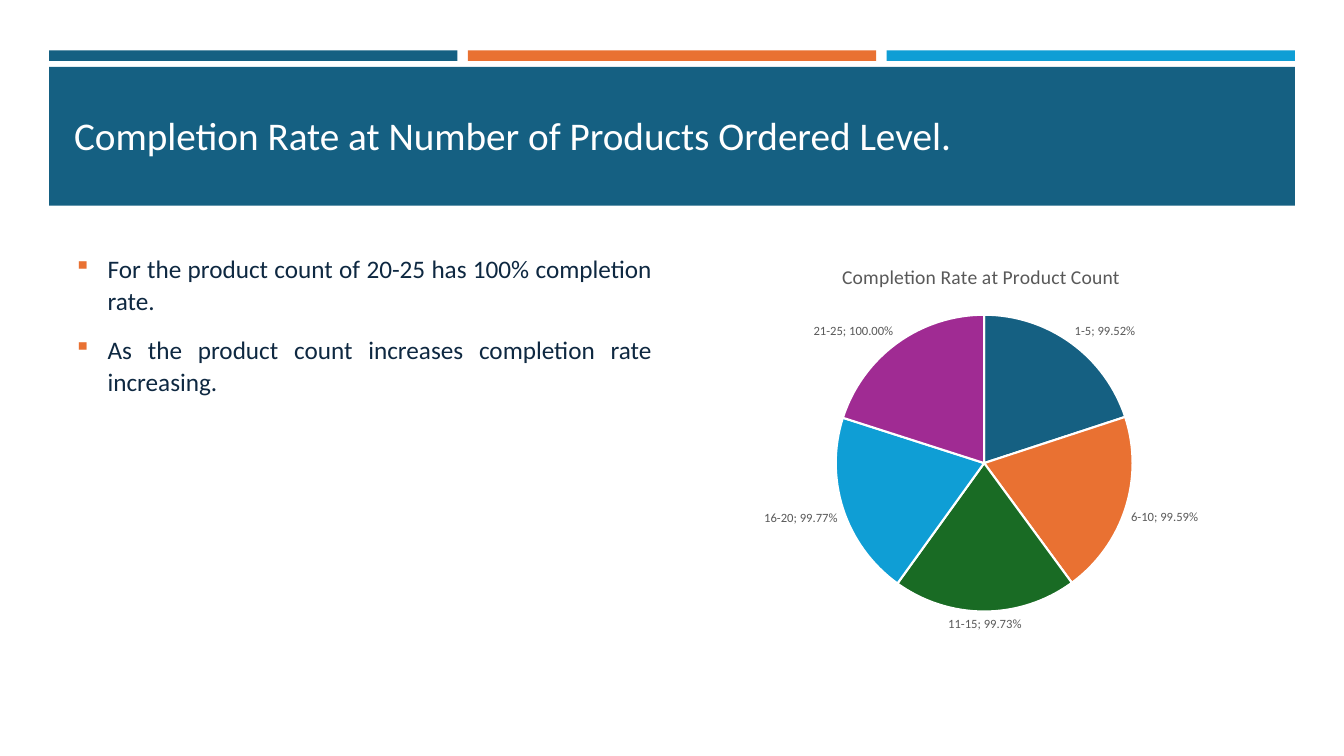
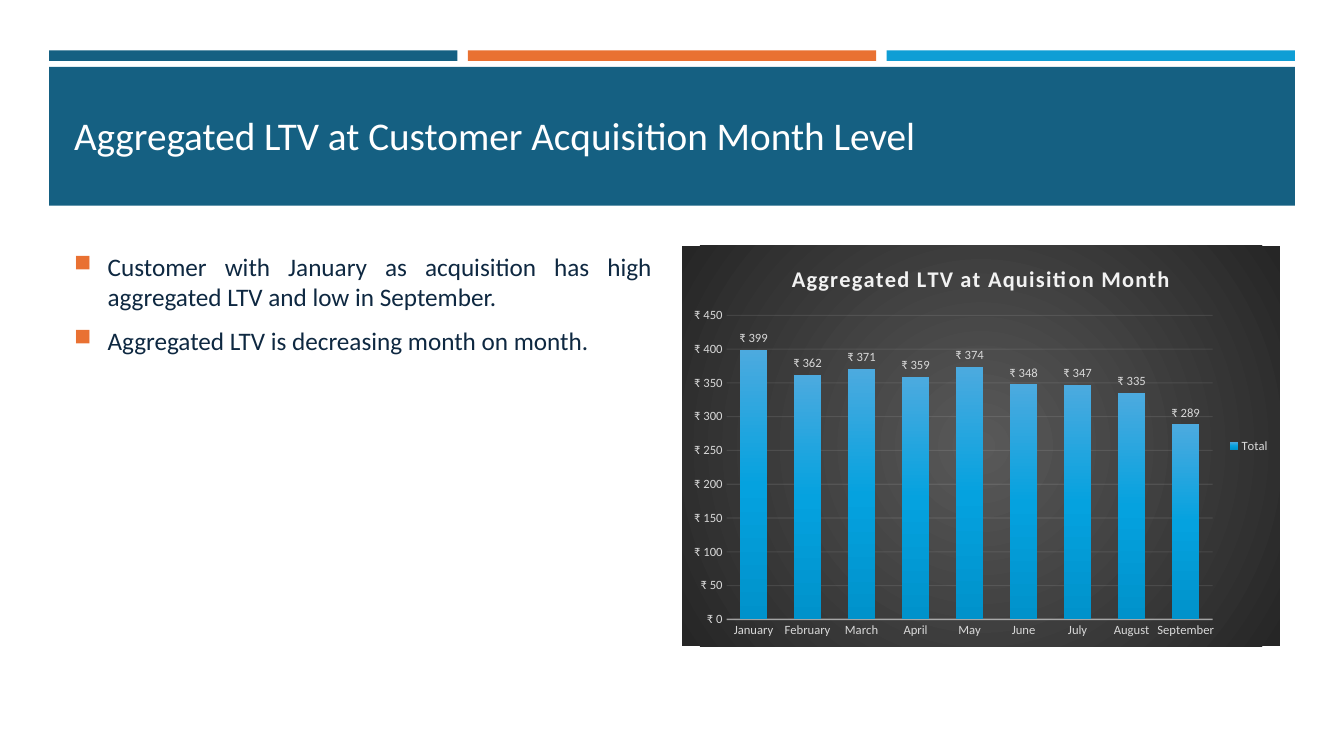
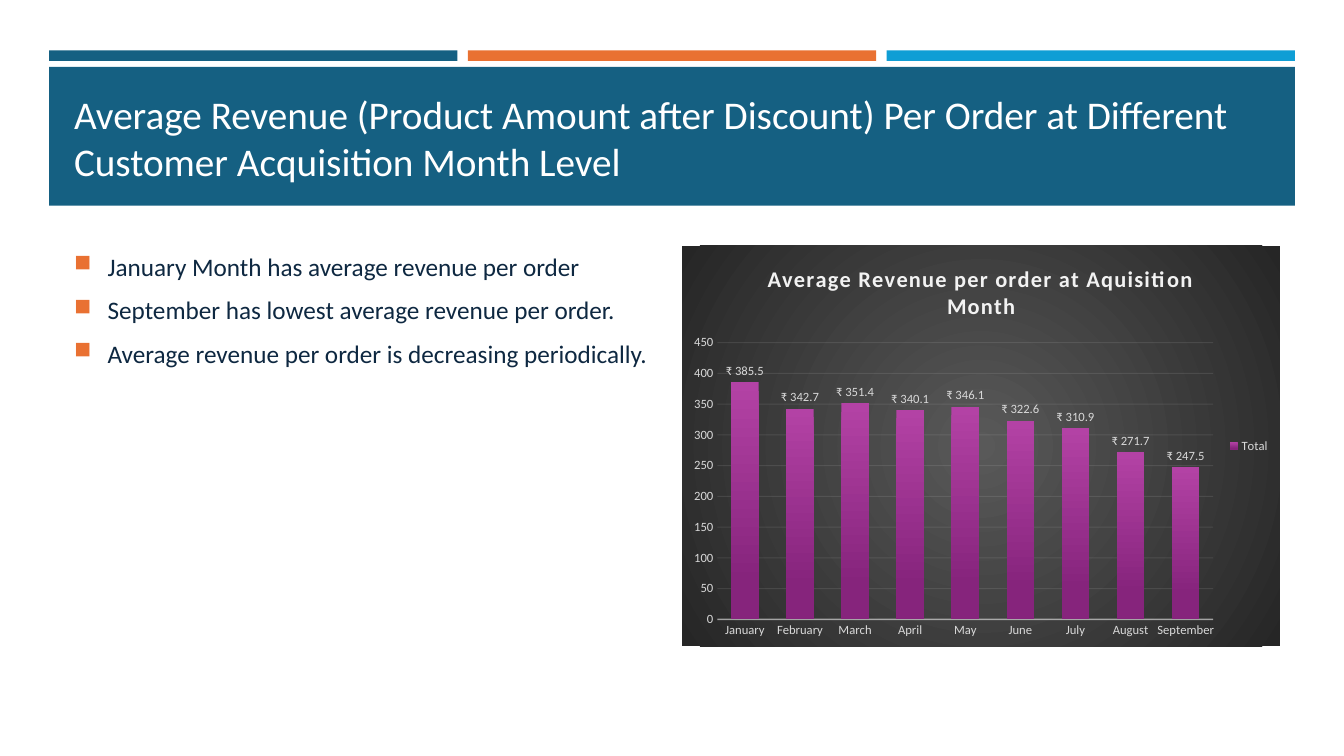
"""Build three slides on completion rate, lifetime value and revenue per order."""
from dataclasses import dataclass, field
from functools import partial

import pptx
import pptx.chart.chart
import pptx.chart.data
import pptx.dml.color
import pptx.enum.chart
import pptx.enum.shapes
import pptx.enum.text
import pptx.oxml
import pptx.oxml.ns
import pptx.slide
import pptx.text.text
import pptx.util

Pt = pptx.util.Pt
qn = pptx.oxml.ns.qn
rgb = pptx.dml.color.RGBColor.from_string
ChartType = pptx.enum.chart.XL_CHART_TYPE


@dataclass(frozen=True)
class Theme:
    font: str = "Calibri"
    teal: str = "156082"
    orange: str = "E97132"
    green: str = "196B24"
    blue: str = "0F9ED5"
    purple: str = "A02B93"
    navy: str = "0E2841"
    white: str = "FFFFFF"
    black: str = "000000"
    grey: str = "595959"
    pale: str = "F2F2F2"
    silver: str = "D9D9D9"
    charcoal: str = "262626"
    title_size: float = 28
    body_size: float = 18
    pie_title_size: float = 14
    column_title_size: float = 16
    chart_size: float = 10
    label_size: float = 9


@dataclass(frozen=True)
class Box:
    left: float
    top: float
    width: float
    height: float

    def lengths(self) -> list[pptx.util.Length]:
        return [Pt(n) for n in (self.left, self.top, self.width, self.height)]


@dataclass(frozen=True)
class BulletStyle:
    mark: str
    line_spacing: float
    space_after: float


@dataclass(frozen=True)
class ChartData:
    title: str
    categories: list[str]
    values: list[float]
    label_format: str
    series: str = "Total"
    axis_format: str = "0"
    gradient: list[tuple[int, str]] = field(default_factory=list)


@dataclass(frozen=True)
class Topic:
    title: str
    points: list[str]
    bullets: BulletStyle
    chart: ChartData
    title_anchor: pptx.enum.text.MSO_ANCHOR = pptx.enum.text.MSO_ANCHOR.MIDDLE


THEME = Theme()
BAND = Box(35, 47.8, 890, 99.2)
STRIPE_TOP, STRIPE_HEIGHT, STRIPE_GAP = 36, 7.5, 7.5
TITLE = Box(45.8, 57.6, 868.4, 77.8)
BODY = Box(45.8, 175.7, 427, 285.8)
CHART = Box(487.3, 175.7, 427, 285.8)
BULLET_INDENT = 24
SPACE_BEFORE = 3.6

MONTHS = ["January", "February", "March", "April", "May", "June", "July", "August", "September"]
RUPEES = '"₹"\\ #,##0'
SMALL_SQUARES = BulletStyle("▪", 1.07, 8)
LARGE_SQUARES = BulletStyle("■", 1.0, 6)

TOPICS = [
    Topic(
        "Completion Rate at Number of Products Ordered Level.",
        [
            "For the product count of 20-25 has 100% completion rate.",
            "As the product count increases completion rate increasing.",
        ],
        SMALL_SQUARES,
        ChartData(
            "Completion Rate at Product Count",
            ["1-5", "6-10", "11-15", "16-20", "21-25"],
            [0.9952, 0.9959, 0.9973, 0.9977, 1],
            "0.00%",
            series="Series 1",
        ),
    ),
    Topic(
        "Aggregated LTV at Customer Acquisition Month Level",
        [
            "Customer with January as acquisition has high aggregated LTV and low in September.",
            "Aggregated LTV is decreasing month on month.",
        ],
        LARGE_SQUARES,
        ChartData(
            "Aggregated LTV at Aquisition Month",
            MONTHS,
            [399, 362, 371, 359, 374, 348, 347, 335, 289],
            RUPEES,
            axis_format=RUPEES,
            gradient=[(0, "4CAADF"), (50, "05A2DF"), (100, "0092CB")],
        ),
    ),
    Topic(
        "Average Revenue (Product Amount after Discount) Per Order at Different "
        "Customer Acquisition Month Level",
        [
            "January Month has average revenue per order",
            "September has lowest average revenue per order.",
            "Average revenue per order is decreasing periodically.",
        ],
        LARGE_SQUARES,
        ChartData(
            "Average Revenue per order at Aquisition Month",
            MONTHS,
            [385.5, 342.7, 351.4, 340.1, 346.1, 322.6, 310.9, 271.7, 247.5],
            RUPEES + ".0",
            gradient=[(0, "B342A5"), (84, "86247C")],
        ),
        title_anchor=pptx.enum.text.MSO_ANCHOR.BOTTOM,
    ),
]


def style_font(font: pptx.text.text.Font, size: float, color: str, bold: bool = False) -> None:
    font.name = THEME.font
    font.size = Pt(size)
    font.bold = bold
    font.color.rgb = rgb(color)


def element(tag: str, content: str = "", **attributes: str) -> pptx.oxml.xmlchemy.BaseOxmlElement:
    listed = "".join(f' {key}="{value}"' for key, value in attributes.items())
    spaces = pptx.oxml.ns.nsdecls("a", "c")
    return pptx.oxml.parse_xml(f"<{tag} {spaces}{listed}>{content}</{tag}>")


def gradient_fill(
    stops: list[tuple[int, str]], direction: str
) -> pptx.oxml.xmlchemy.BaseOxmlElement:
    listed = "".join(
        f'<a:gs pos="{place * 1000}"><a:srgbClr val="{color}"/></a:gs>' for place, color in stops
    )
    return element("a:gradFill", f"<a:gsLst>{listed}</a:gsLst>{direction}", rotWithShape="1")


def find(chart: pptx.chart.chart.Chart, *tags: str) -> pptx.oxml.xmlchemy.BaseOxmlElement:
    return chart.element.find(".//" + "//".join(qn(tag) for tag in tags))


def add_block(slide: pptx.slide.Slide, box: Box, color: str) -> None:
    block = slide.shapes.add_shape(pptx.enum.shapes.MSO_SHAPE.RECTANGLE, *box.lengths())
    block.shadow.inherit = False
    block.fill.solid()
    block.fill.fore_color.rgb = rgb(color)
    block.line.fill.background()


def add_text_frame(slide: pptx.slide.Slide, box: Box) -> pptx.text.text.TextFrame:
    frame = slide.shapes.add_textbox(*box.lengths()).text_frame
    frame.word_wrap = True
    return frame


def add_run(
    paragraph: pptx.text.text._Paragraph, text: str, size: float, color: str, bold: bool = False
) -> None:
    run = paragraph.add_run()
    run.text = text
    style_font(run.font, size, color, bold)


def add_header(slide: pptx.slide.Slide, topic: Topic) -> None:
    colors = [THEME.teal, THEME.orange, THEME.blue]
    width = (BAND.width - STRIPE_GAP * (len(colors) - 1)) / len(colors)
    for index, color in enumerate(colors):
        left = BAND.left + index * (width + STRIPE_GAP)
        add_block(slide, Box(left, STRIPE_TOP, width, STRIPE_HEIGHT), color)
    add_block(slide, BAND, THEME.teal)
    frame = add_text_frame(slide, TITLE)
    frame.vertical_anchor = topic.title_anchor
    add_run(frame.paragraphs[0], topic.title, THEME.title_size, THEME.white)


def add_points(slide: pptx.slide.Slide, points: list[str], style: BulletStyle) -> None:
    frame = add_text_frame(slide, BODY)
    for index, point in enumerate(points):
        paragraph = frame.add_paragraph() if index else frame.paragraphs[0]
        paragraph.alignment = pptx.enum.text.PP_ALIGN.JUSTIFY
        paragraph.line_spacing = style.line_spacing
        paragraph.space_before = Pt(SPACE_BEFORE if index else 0)
        paragraph.space_after = Pt(style.space_after)
        properties = paragraph._p.get_or_add_pPr()
        properties.set("marL", str(Pt(BULLET_INDENT)))
        properties.set("indent", str(-Pt(BULLET_INDENT)))
        properties.append(element("a:buClr", f'<a:srgbClr val="{THEME.orange}"/>'))
        properties.append(element("a:buSzPct", val="92000"))
        properties.append(element("a:buChar", char=style.mark))
        add_run(paragraph, point, THEME.body_size, THEME.navy)


def add_chart(
    slide: pptx.slide.Slide,
    data: ChartData,
    kind: ChartType,
    title_size: float,
    title_color: str,
    label_color: str,
    bold: bool = False,
) -> pptx.chart.chart.Chart:
    table = pptx.chart.data.CategoryChartData()
    table.categories = data.categories
    table.add_series(data.series, data.values)
    chart = slide.shapes.add_chart(kind, *CHART.lengths(), table).chart
    style_font(chart.font, THEME.chart_size, THEME.black)
    chart.has_legend = False
    chart.has_title = True
    chart.chart_title.include_in_layout = False
    heading = chart.chart_title.text_frame.paragraphs[0]
    add_run(heading, data.title, title_size, title_color, bold)
    labels = chart.plots[0].series[0].data_labels
    labels.show_value = True
    labels.number_format = data.label_format
    labels.number_format_is_linked = False
    labels.position = pptx.enum.chart.XL_LABEL_POSITION.OUTSIDE_END
    style_font(labels.font, THEME.label_size, label_color)
    return chart


def add_pie(slide: pptx.slide.Slide, data: ChartData) -> None:
    chart = add_chart(
        slide, data, ChartType.PIE, THEME.pie_title_size, THEME.grey, THEME.grey
    )
    chart.plots[0].vary_by_categories = True
    slices = chart.plots[0].series[0]
    slices.data_labels.show_category_name = True
    find(chart, "c:dLbls", "c:showBubbleSize").addnext(element("c:separator", "; "))
    colors = [THEME.teal, THEME.orange, THEME.green, THEME.blue, THEME.purple]
    for index, color in enumerate(colors):
        look = slices.points[index].format
        look.fill.solid()
        look.fill.fore_color.rgb = rgb(color)
        look.line.color.rgb = rgb(THEME.white)
        look.line.width = Pt(1.5)


def add_columns(slide: pptx.slide.Slide, data: ChartData) -> None:
    chart = add_chart(
        slide,
        data,
        ChartType.COLUMN_CLUSTERED,
        THEME.column_title_size,
        THEME.pale,
        THEME.silver,
        bold=True,
    )
    find(chart, "c:title", "a:rPr").set("spc", "100")
    plot = chart.plots[0]
    plot.vary_by_categories = False
    plot.gap_width = 100
    plot.overlap = -24

    plot.series[0].format.fill.solid()
    column_look = find(chart, "c:ser", "c:spPr")
    downward = '<a:lin ang="5400000" scaled="0"/>'
    column_look.replace(column_look[0], gradient_fill(data.gradient, downward))

    background = element("c:spPr")
    centred = '<a:path path="circle"><a:fillToRect l="50000" t="50000" r="50000" b="50000"/></a:path>'
    background.append(gradient_fill([(0, THEME.grey), (100, THEME.charcoal)], centred))
    background.append(element("a:ln", "<a:noFill/>"))
    chart.element.find(qn("c:chart")).addnext(background)

    months, amounts = chart.category_axis, chart.value_axis
    for axis in (months, amounts):
        axis.major_tick_mark = axis.minor_tick_mark = pptx.enum.chart.XL_TICK_MARK.NONE
        style_font(axis.tick_labels.font, THEME.label_size, THEME.silver)
    amounts.minimum_scale, amounts.maximum_scale, amounts.major_unit = 0, 450, 50
    amounts.tick_labels.number_format = data.axis_format
    amounts.tick_labels.number_format_is_linked = False
    amounts.format.line.fill.background()
    amounts.has_major_gridlines = True
    for line, width, opacity, tags in (
        (months.format.line, 1, 54, ("c:catAx", "c:spPr")),
        (amounts.major_gridlines.format.line, 0.75, 10, ("c:majorGridlines", "c:spPr")),
    ):
        line.color.rgb = rgb(THEME.pale)
        line.width = Pt(width)
        find(chart, *tags, "a:srgbClr").append(element("a:alpha", val=str(opacity * 1000)))

    chart.has_legend = True
    chart.legend.position = pptx.enum.chart.XL_LEGEND_POSITION.RIGHT
    chart.legend.include_in_layout = False
    style_font(chart.legend.font, THEME.label_size, THEME.silver)


def main() -> None:
    deck = pptx.Presentation()
    deck.slide_width, deck.slide_height = Pt(960), Pt(540)
    blank = deck.slide_layouts[6]
    for topic in TOPICS:
        slide = deck.slides.add_slide(blank)
        add_header(slide, topic)
        add_points(slide, topic.points, topic.bullets)
        draw = partial(add_columns if topic.chart.gradient else add_pie, slide)
        draw(topic.chart)
    deck.save("out.pptx")


if __name__ == "__main__":
    main()
